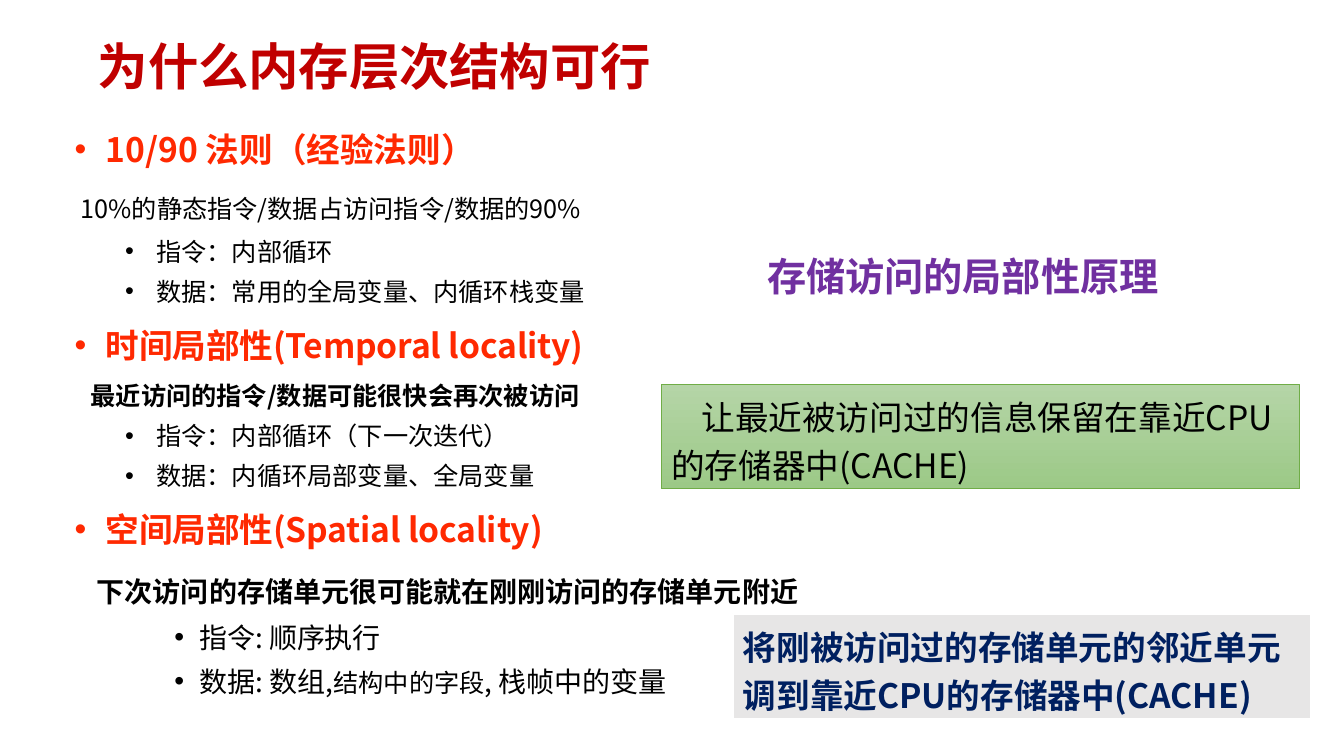
from dataclasses import dataclass

from lxml import etree
from pptx import Presentation
from pptx.dml.color import RGBColor
from pptx.enum.shapes import MSO_SHAPE
from pptx.enum.text import MSO_ANCHOR, MSO_AUTO_SIZE, PP_ALIGN
from pptx.oxml.ns import qn
from pptx.util import Inches, Pt

RECTANGLE = MSO_SHAPE.RECTANGLE
TOP, MIDDLE = MSO_ANCHOR.TOP, MSO_ANCHOR.MIDDLE
NO_FIT = MSO_AUTO_SIZE.NONE
LEFT = PP_ALIGN.LEFT


@dataclass(frozen=True)
class Theme:
    font: str = "Noto Sans CJK SC"
    note_font: str = "Noto Sans CJK JP"
    title: str = "C00000"
    heading: str = "FF2901"
    body: str = "000000"
    principle: str = "7030A0"
    navy: str = "002060"
    grey: str = "E7E6E6"
    white: str = "FFFFFF"
    green_light: str = "B5D5A7"
    green_dark: str = "9CC987"
    green_line: str = "70AD47"
    title_size: int = 36
    principle_size: int = 28
    heading_size: int = 24
    large_size: int = 20
    body_size: int = 18


THEME = Theme()

# Paragraph kinds: left margin and first-line indent in inches, space before in points
BULLET_HEADING = {"margin": 0.33, "indent": -0.31, "bullet": True}
BULLET_ITEM = {"margin": 0.83, "indent": -0.31, "before": 1.6, "bullet": True}
BULLET_DEEP = {"margin": 1.26, "indent": -0.25, "before": 1.6, "bullet": True}

# Run kinds
HEADING = {"size": THEME.heading_size, "color": THEME.heading, "bold": True}
TIGHT_HEADING = {**HEADING, "spacing": -0.1}
BODY = {"size": THEME.body_size, "color": THEME.body}
STRONG = {**BODY, "bold": True}
LARGE = {**BODY, "size": THEME.large_size}
TIGHT_LARGE = {**LARGE, "spacing": -0.1}

# Each line: paragraph format, then its runs as (text, format)
LOCALITY_LINES = [
    ({**BULLET_HEADING, "before": 2.9}, [("10/90 法则（经验法则）", HEADING)]),
    ({"margin": 0.08, "before": 12, "after": 1.7},
     [("10%的静态指令/数据占访问指令/数据的90%", BODY)]),
    (BULLET_ITEM, [("指令：内部循环", BODY)]),
    (BULLET_ITEM, [("数据：常用的全局变量、内循环栈变量", BODY)]),
    ({**BULLET_HEADING, "before": 5.8},
     [("时间局部性(Temporal locality)", TIGHT_HEADING)]),
    ({"margin": 0.18, "before": 5.8},
     [("最近访问的指令/数据可能很快会再次被访问", STRONG)]),
    (BULLET_ITEM, [("指令：内部循环（下一次迭代）", BODY)]),
    (BULLET_ITEM, [("数据：内循环局部变量、全局变量", BODY)]),
    ({**BULLET_HEADING, "before": 5.8},
     [("空间局部性(Spatial locality)", TIGHT_HEADING)]),
    ({"margin": 0.24, "before": 12, "after": 1.2},
     [("下次访问的存储单元很可能就在刚刚访问的存储单元附近",
       {**LARGE, "bold": True})]),
    (BULLET_DEEP, [("指令: ", TIGHT_LARGE),
                   ("顺序执行", {**LARGE, "spacing": -0.3})]),
    (BULLET_DEEP, [("数据: ", TIGHT_LARGE), ("数组,", LARGE),
                   ("结构中的字段", BODY), (", 栈帧中的变量", TIGHT_LARGE)]),
]


def add_span(para, text, style):
    span = para.add_run()
    span.text = text
    face = style.get("font", THEME.font)
    values = {"name": face, "size": Pt(style["size"]),
              "bold": style.get("bold", False)}
    for name, value in values.items():
        setattr(span.font, name, value)
    span.font.color.rgb = RGBColor.from_string(style["color"])
    props = span.font._element
    props.set("spc", str(round(style.get("spacing", 0) * 100)))
    etree.SubElement(props, qn("a:ea")).set("typeface", face)


def format_para(para, style, line_spacing):
    values = {"alignment": LEFT, "line_spacing": line_spacing,
              "space_before": Pt(style.get("before", 0)),
              "space_after": Pt(style.get("after", 0))}
    for name, value in values.items():
        setattr(para, name, value)
    props = para._p.get_or_add_pPr()
    props.set("marL", str(Inches(style.get("margin", 0))))
    props.set("indent", str(Inches(style.get("indent", 0))))
    if style.get("bullet"):
        etree.SubElement(props, qn("a:buFont")).set("typeface", "Arial")
        etree.SubElement(props, qn("a:buChar")).set("char", "•")
    else:
        etree.SubElement(props, qn("a:buNone"))


def write_lines(shape, lines, line_spacing, anchor=TOP, insets=None):
    frame = shape.text_frame
    values = {"word_wrap": True, "auto_size": NO_FIT, "vertical_anchor": anchor}
    for name, value in values.items():
        setattr(frame, name, value)
    if insets:
        for side, inset in zip(("left", "top", "right", "bottom"), insets):
            setattr(frame, f"margin_{side}", Inches(inset))
    for number, (para_style, spans) in enumerate(lines):
        para = frame.add_paragraph() if number else frame.paragraphs[0]
        format_para(para, para_style, line_spacing)
        for text, style in spans:
            add_span(para, text, style)


def add_title(page, box):
    style = {"size": THEME.title_size, "color": THEME.title, "bold": True,
             "spacing": -0.1}
    write_lines(page.shapes.add_textbox(*map(Inches, box)),
                [({"before": 0.9}, [("为什么内存层次结构可行", style)])],
                1.0, MIDDLE, (0, 0.01, 0, 0))


def add_locality_list(page, box):
    write_lines(page.shapes.add_textbox(*map(Inches, box)),
                LOCALITY_LINES, 1.25, insets=(0, 0.04, 0, 0))


def add_principle(page, box):
    style = {"size": THEME.principle_size, "color": THEME.principle, "bold": True}
    write_lines(page.shapes.add_textbox(*map(Inches, box)),
                [({}, [("存储访问的局部性原理", style)])], 0.9)


def add_note(page, box, text, style, fills, line, line_width, indent=0):
    note = page.shapes.add_shape(RECTANGLE, *map(Inches, box))
    note.shadow.inherit = False
    if len(fills) == 1:
        note.fill.solid()
        note.fill.fore_color.rgb = RGBColor.from_string(fills[0])
    else:
        note.fill.gradient()
        note.fill.gradient_angle = 270
        for stop, color, position in zip(note.fill.gradient_stops, fills, (0, 1)):
            stop.color.rgb = RGBColor.from_string(color)
            stop.position = position
    note.line.color.rgb = RGBColor.from_string(line)
    note.line.width = Pt(line_width)
    write_lines(note, [({"indent": indent}, [(text, style)])], 1.2)


def build_locality_slide(page):
    add_title(page, (0.97, 0.33, 5.65, 0.62))
    add_locality_list(page, (0.72, 1.14, 9.52, 5.81))
    # Temporal locality advice
    add_note(page, (6.56, 3.81, 6.33, 1.04),
             "让最近被访问过的信息保留在靠近CPU的存储器中(CACHE)",
             {"size": THEME.heading_size, "color": THEME.body,
              "font": THEME.note_font},
             (THEME.green_light, THEME.green_dark), THEME.green_line, 0.5, 0.3)
    # Spatial locality advice
    add_note(page, (7.27, 6.09, 5.73, 1.04),
             "将刚被访问过的存储单元的邻近单元调到靠近CPU的存储器中(CACHE)",
             {"size": THEME.heading_size, "color": THEME.navy, "bold": True},
             (THEME.grey,), THEME.white, 1.5)
    add_principle(page, (7.51, 2.51, 4.44, 0.46))


def main():
    deck = Presentation()
    deck.slide_width, deck.slide_height = Inches(13.33), Inches(7.5)
    build_locality_slide(deck.slides.add_slide(deck.slide_layouts[6]))
    deck.save("out.pptx")


if __name__ == "__main__":
    main()
